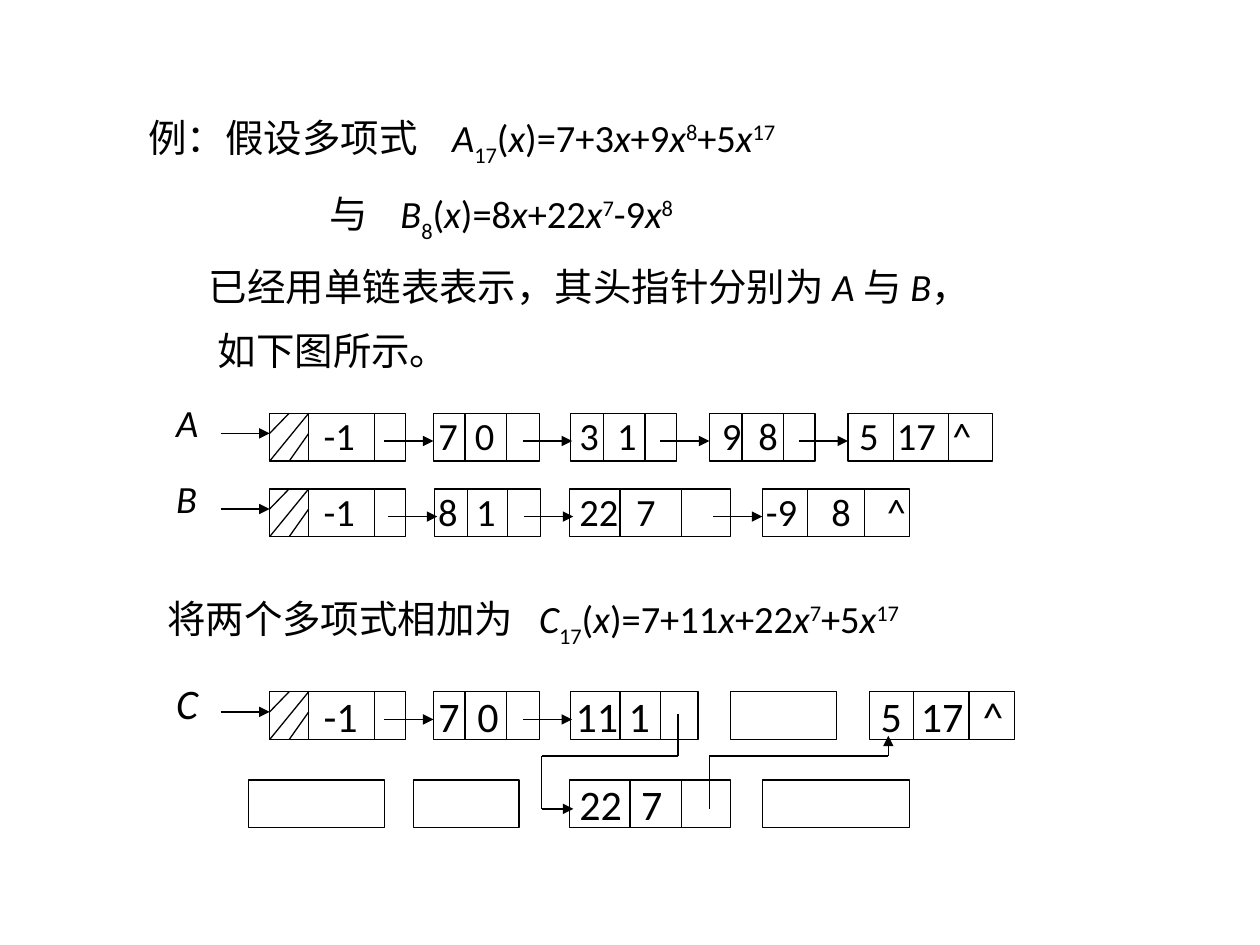
from lxml import etree
from pptx import Presentation
from pptx.dml.color import RGBColor
from pptx.enum.shapes import MSO_CONNECTOR, MSO_SHAPE
from pptx.oxml.ns import qn
from pptx.util import Inches, Pt

BLACK = RGBColor(0, 0, 0)
WHITE = RGBColor(255, 255, 255)
STRAIGHT = MSO_CONNECTOR.STRAIGHT
RECT = MSO_SHAPE.RECTANGLE
FONT = "Calibri"
INSET = 0.1
NODE_H = 0.38
POINTER_Y = 0.16   # head pointer and hatching, below the node top
LINK_Y = 0.22      # link between nodes, below the node top
LINK_W = 0.39

# Paragraph: indent, tab stops, runs of (text, style)
INTRO = [
    (0, [2.41], [("例：假设多项式\t", ""), ("A", "i"), ("17", "sub"), ("(", ""), ("x", "i"),
                 (")=7+3", ""), ("x", "i"), ("+9", ""), ("x", "i"), ("8", "sup"),
                 ("+5", ""), ("x", "i"), ("17", "sup")]),
    (0, [1.44, 2.0], [("\t与\t", ""), ("B", "i"), ("8", "sub"), ("(", ""), ("x", "i"),
                      (")=8", ""), ("x", "i"), ("+22", ""), ("x", "i"), ("7", "sup"),
                      ("-9", ""), ("x", "i"), ("8", "sup")]),
    (0.48, [], [("已经用单链表表示，其头指针分别为 ", ""), ("A ", "i"), ("与 ", ""),
                ("B", "i"), ("，", "")]),
    (0.55, [], [("如下图所示。", "")]),
]
SUM = [
    (0, [2.95], [("将两个多项式相加为\t", ""), ("C", "i"), ("17", "sub"), ("(", ""), ("x", "i"),
                 (")=7+11", ""), ("x", "i"), ("+22", ""), ("x", "i"), ("7", "sup"),
                 ("+5", ""), ("x", "i"), ("17", "sup")]),
]

# Node: left, width, dividers, values as (x, text); all x from the slide's left edge
HEAD = (2.14, 1.08, [2.45, 2.97], [(2.57, "-1")])
# Row: head label, top, text size, nodes, starts of the links
ROWS = [
    ("A", 3.28, 22, [
        HEAD,
        (3.44, 0.84, [3.69, 4.02], [(3.48, "7"), (3.77, "0")]),
        (4.53, 0.84, [4.79, 5.12], [(4.60, "3"), (4.90, "1")]),
        (5.63, 0.84, [5.89, 6.22], [(5.73, "9"), (6.02, "8")]),
        (6.73, 1.15, [7.09, 7.53], [(6.82, "5"), (7.12, "17"), (7.56, "^")]),
    ], [3.05, 4.15, 5.24, 6.34]),
    ("B", 3.88, 22, [
        HEAD,
        (3.45, 0.84, [3.71, 4.03], [(3.48, "8"), (3.78, "1")]),
        (4.52, 1.28, [4.92, 5.41], [(4.60, "22"), (5.05, "7")]),
        (6.05, 1.17, [6.41, 6.86], [(6.08, "-9"), (6.60, "8"), (7.04, "^")]),
    ], [3.08, 4.16, 5.66]),
    ("C", 5.49, 24, [
        HEAD,
        (3.44, 0.84, [3.69, 4.02], [(3.48, "7"), (3.79, "0")]),
        (4.53, 1.01, [4.92, 5.24], [(4.57, "11"), (4.99, "1")]),
        (5.80, 0.84, [], []),
        (6.90, 1.15, [7.25, 7.69], [(6.99, "5"), (7.31, "17"), (7.80, "^")]),
    ], [3.05, 4.15]),
    ("", 6.19, 24, [
        (1.97, 1.08, [], []),
        (3.28, 0.84, [], []),
        (4.52, 1.28, [5.00, 5.41], [(4.60, "22"), (5.09, "7")]),
        (6.05, 1.17, [], []),
    ], []),
]
BENT_LINKS = [
    [(5.38, 5.67), (5.38, 6), (4.3, 6), (4.3, 6.42), (4.55, 6.42)],
    [(5.63, 6.42), (5.63, 6), (7.05, 6), (7.05, 5.84)],
]


def add_text(slide, left, top, width, height, paragraphs, size=22, spacing=1.0):
    tf = slide.shapes.add_textbox(*map(Inches, (left, top, width, height))).text_frame
    tf.word_wrap = True
    for i, (indent, tabs, runs) in enumerate(paragraphs):
        p = tf.paragraphs[0] if i == 0 else tf.add_paragraph()
        p.line_spacing = spacing
        pPr = p._p.get_or_add_pPr()
        pPr.set("marL", str(Inches(indent)))
        if tabs:
            tab_list = etree.SubElement(pPr, qn("a:tabLst"))
            for x in tabs:
                etree.SubElement(tab_list, qn("a:tab"), pos=str(Inches(x)), algn="l")
        for text, style in runs:
            r = p.add_run()
            r.text = text
            r.font.name = FONT
            r.font.size = Pt(size)
            r.font.color.rgb = BLACK
            r.font.italic = style == "i"
            if style in ("sub", "sup"):
                r.font._element.set("baseline", "-30000" if style == "sub" else "30000")


def add_line(slide, start, end, arrow=False):
    line = slide.shapes.add_connector(STRAIGHT, *map(Inches, (*start, *end)))
    line.line.color.rgb = BLACK
    line.line.width = Pt(0.75)
    if arrow:
        etree.SubElement(line.line._get_or_add_ln(), qn("a:tailEnd"), type="triangle")
    etree.SubElement(line._element.spPr, qn("a:effectLst"))


def add_node(slide, top, size, node):
    left, width, dividers, values = node
    sp = slide.shapes.add_shape(RECT, *map(Inches, (left, top, width, NODE_H)))
    sp.shadow.inherit = False
    sp.fill.solid()
    sp.fill.fore_color.rgb = WHITE
    sp.line.color.rgb = BLACK
    sp.line.width = Pt(0.75)
    for x in dividers:
        add_line(slide, (x, top), (x, top + NODE_H))
    if values:
        first = values[0][0]
        text = "\t".join(v for _, v in values)
        tabs = [x - first for x, _ in values[1:]]
        add_text(slide, first - INSET, top - 0.06, left + width - first + 0.35, 0.49,
                 [(0, tabs, [(text, "")])], size)


def add_hatching(slide, top):
    left, right = HEAD[0], HEAD[2][0]
    middle, bottom = (left + right) / 2, top + NODE_H
    add_line(slide, (right, top), (left, bottom))
    add_line(slide, (middle, top), (left, top + POINTER_Y))
    add_line(slide, (right, top + POINTER_Y), (middle, bottom))


def add_row(slide, label, top, size, nodes, links):
    for node in nodes:
        add_node(slide, top, size, node)
    if label:
        add_hatching(slide, top)
        add_text(slide, 1.3, top - 0.16, 0.58, 0.49, [(0, [], [(label, "i")])], size)
        y = top + POINTER_Y
        add_line(slide, (HEAD[0] - LINK_W, y), (HEAD[0], y), arrow=True)
    for x in links:
        add_line(slide, (x, top + LINK_Y), (x + LINK_W, top + LINK_Y), arrow=True)


def main():
    prs = Presentation()
    prs.slide_width, prs.slide_height = Inches(10), Inches(7.5)
    slide = prs.slides.add_slide(prs.slide_layouts[6])
    add_text(slide, 1.08, 0.68, 7.94, 2.12, INTRO, spacing=1.4)
    add_text(slide, 1.23, 4.67, 6.16, 0.47, SUM)
    for row in ROWS:
        add_row(slide, *row)
    for points in BENT_LINKS:
        for i, (start, end) in enumerate(zip(points, points[1:]), 2):
            add_line(slide, start, end, arrow=i == len(points))
    prs.save("out.pptx")


if __name__ == "__main__":
    main()
